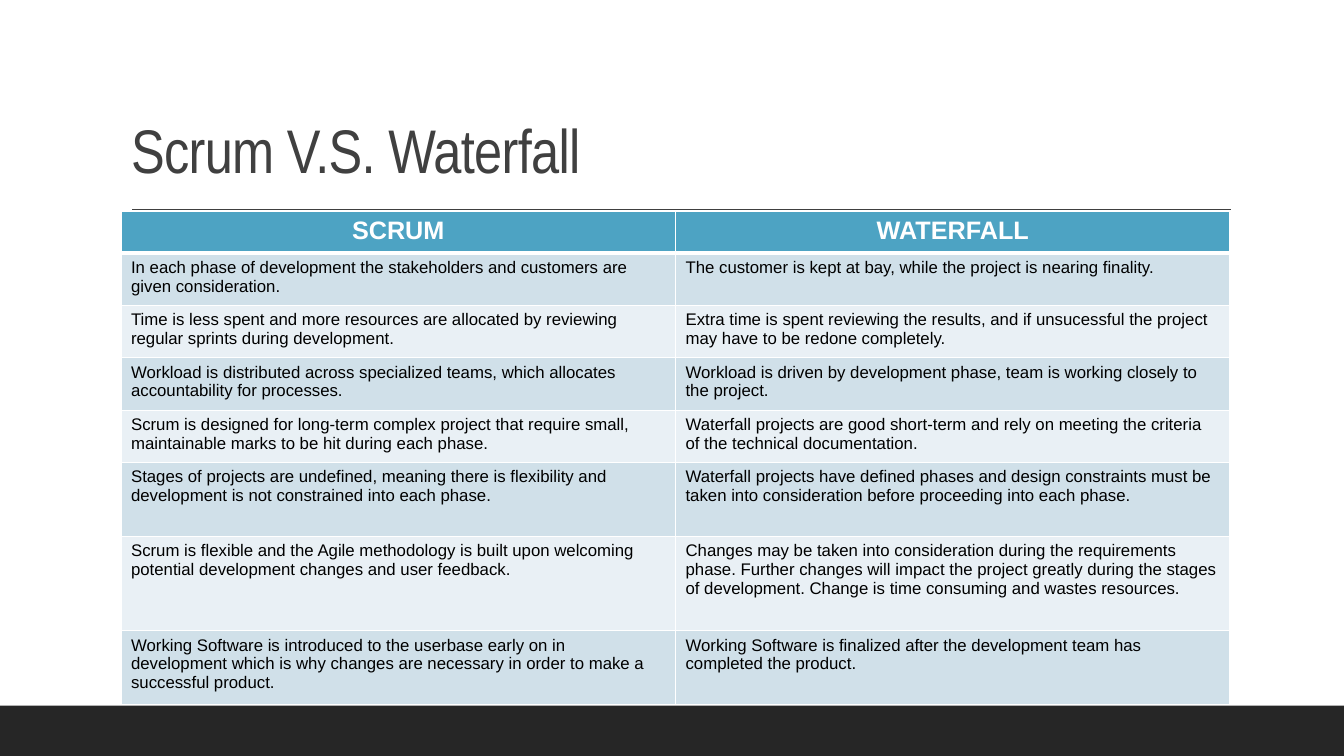
from lxml import etree
from pptx import Presentation
from pptx.dml.color import RGBColor
from pptx.enum.shapes import MSO_CONNECTOR, MSO_SHAPE
from pptx.enum.text import MSO_ANCHOR, MSO_AUTO_SIZE, PP_ALIGN
from pptx.oxml.ns import qn
from pptx.util import Inches, Pt

STRAIGHT = MSO_CONNECTOR.STRAIGHT
RECTANGLE = MSO_SHAPE.RECTANGLE
BOTTOM = MSO_ANCHOR.BOTTOM
NO_AUTOFIT = MSO_AUTO_SIZE.NONE
LEFT, CENTER = PP_ALIGN.LEFT, PP_ALIGN.CENTER

WHITE = RGBColor(0xFF, 0xFF, 0xFF)
BLACK = RGBColor(0x00, 0x00, 0x00)
CHARCOAL = RGBColor(0x40, 0x40, 0x40)
FOOTER_DARK = RGBColor(0x26, 0x26, 0x26)
HEADER_BLUE = RGBColor(0x4D, 0xA3, 0xC3)
BANDS = (RGBColor(0xD0, 0xE0, 0xE9), RGBColor(0xE9, 0xF0, 0xF5))

SLIDE_WIDTH, SLIDE_HEIGHT = 13.33, 7.5
TITLE_ONLY = 5
TITLE_FONT, BODY_FONT = "Arial Narrow", "Arial"

HEADINGS = ("SCRUM", "WATERFALL")
COMPARISON = [
    ("In each phase of development the stakeholders and customers are given consideration.",
     "The customer is kept at bay, while the project is nearing finality."),
    ("Time is less spent and more resources are allocated by reviewing regular sprints during development.",
     "Extra time is spent reviewing the results, and if unsucessful the project may have to be redone completely."),
    ("Workload is distributed across specialized teams, which allocates accountability for processes.",
     "Workload is driven by development phase, team is working closely to the project."),
    ("Scrum is designed for long-term complex project that require small, maintainable marks to be hit during each phase.",
     "Waterfall projects are good short-term and rely on meeting the criteria of the technical documentation."),
    ("Stages of projects are undefined, meaning there is flexibility and development is not constrained into each phase.",
     "Waterfall projects have defined phases and design constraints must be taken into consideration before proceeding into each phase."),
    ("Scrum is flexible and the Agile methodology is built upon welcoming potential development changes and user feedback.",
     "Changes may be taken into consideration during the requirements phase. Further changes will impact the project greatly during the stages of development. Change is time consuming and wastes resources."),
    ("Working Software is introduced to the userbase early on in development which is why changes are necessary in order to make a successful product.",
     "Working Software is finalized after the development team has completed the product."),
]
ROW_HEIGHTS = (0.41, 0.52, 0.52, 0.52, 0.52, 0.73, 0.94, 0.73)


def add_run(paragraph, text, font_name, size, color, bold=False):
    run = paragraph.add_run()
    run.text = text
    run.font.name = font_name
    run.font.size = Pt(size)
    run.font.color.rgb = color
    run.font.bold = bold
    return run


def add_footer_band(slide, left, top, width, height):
    band = slide.shapes.add_shape(
        RECTANGLE, Inches(left), Inches(top), Inches(width), Inches(height))
    band.shadow.inherit = False
    band.fill.solid()
    band.fill.fore_color.rgb = FOOTER_DARK
    band.line.fill.background()


def add_title(slide, left, top, width, height):
    title = slide.shapes.title
    title.left, title.top = Inches(left), Inches(top)
    title.width, title.height = Inches(width), Inches(height)
    frame = title.text_frame
    frame.word_wrap = True
    frame.auto_size = NO_AUTOFIT
    frame.vertical_anchor = BOTTOM
    paragraph = frame.paragraphs[0]
    paragraph.alignment = LEFT
    paragraph.line_spacing = 0.9
    run = add_run(paragraph, "Scrum V.S. Waterfall", TITLE_FONT, 44, CHARCOAL)
    run.font._element.set("spc", "-50")


def add_title_rule(slide, left, top, width):
    rule = slide.shapes.add_connector(
        STRAIGHT, Inches(left), Inches(top), Inches(left + width), Inches(top))
    rule.line.color.rgb = CHARCOAL
    rule.line.width = Pt(1)
    etree.SubElement(rule._element.spPr, qn("a:effectLst"))


def set_borders(cell, top_width, bottom_width):
    widths = {"a:lnL": 1, "a:lnR": 1, "a:lnT": top_width, "a:lnB": bottom_width}
    properties = cell._tc.get_or_add_tcPr()
    for position, (edge, width) in enumerate(widths.items()):
        line = etree.Element(qn(edge), w=str(Pt(width)))
        fill = etree.SubElement(line, qn("a:solidFill"))
        etree.SubElement(fill, qn("a:srgbClr"), val=str(WHITE))
        properties.insert(position, line)


def format_cell(cell, text, row_index):
    is_header = row_index == 0
    cell.fill.solid()
    cell.fill.fore_color.rgb = HEADER_BLUE if is_header else BANDS[(row_index - 1) % 2]
    paragraph = cell.text_frame.paragraphs[0]
    paragraph.alignment = CENTER if is_header else LEFT
    size, color = (18, WHITE) if is_header else (12, BLACK)
    add_run(paragraph, text, BODY_FONT, size, color, bold=is_header)
    set_borders(cell, 3 if row_index == 1 else 1, 3 if is_header else 1)


def add_comparison_table(slide, left, top, width, height):
    rows = [HEADINGS, *COMPARISON]
    table = slide.shapes.add_table(
        len(rows), len(HEADINGS),
        Inches(left), Inches(top), Inches(width), Inches(height)).table
    for column in table.columns:
        column.width = Inches(width / len(HEADINGS))
    for row_index, (texts, row_height) in enumerate(zip(rows, ROW_HEIGHTS)):
        table.rows[row_index].height = Inches(row_height)
        for column_index, text in enumerate(texts):
            format_cell(table.cell(row_index, column_index), text, row_index)


def main():
    presentation = Presentation()
    presentation.slide_width = Inches(SLIDE_WIDTH)
    presentation.slide_height = Inches(SLIDE_HEIGHT)
    slide = presentation.slides.add_slide(presentation.slide_layouts[TITLE_ONLY])
    slide.background.fill.solid()
    slide.background.fill.fore_color.rgb = WHITE
    add_footer_band(slide, 0, 7, SLIDE_WIDTH, 0.5)
    add_title_rule(slide, 1.31, 2.08, 10.9)
    add_title(slide, 1.2, 0.31, 11, 1.59)
    add_comparison_table(slide, 1.2, 2.1, 11, sum(ROW_HEIGHTS))
    presentation.save("out.pptx")


if __name__ == "__main__":
    main()
